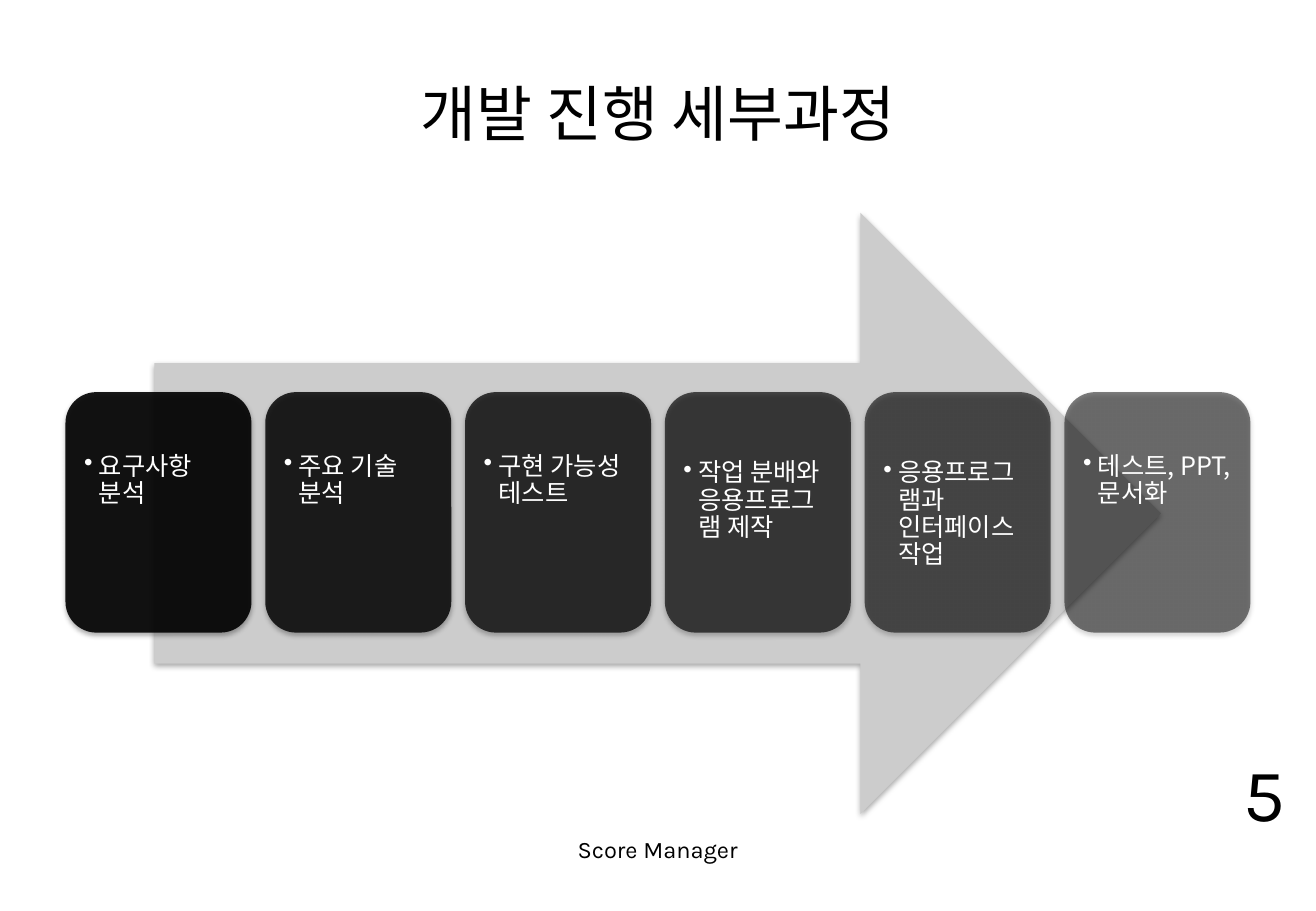
from lxml.etree import SubElement
from pptx import Presentation
from pptx.dml.color import RGBColor
from pptx.enum.shapes import MSO_SHAPE
from pptx.enum.text import MSO_ANCHOR, PP_ALIGN
from pptx.oxml.ns import qn
from pptx.util import Cm, Pt

TITLE = "개발 진행 세부과정"
STEPS = [
    "요구사항 분석",
    "주요 기술 분석",
    "구현 가능성 테스트",
    "작업 분배와 응용프로그램 제작",
    "응용프로그램과 인터페이스 작업",
    "테스트, PPT, 문서화",
]
LABELS = [
    ("Score Manager", (9.4, 17.34, 8.71, 1.32), 14, PP_ALIGN.CENTER),
    ("5", (20.7, 15.5, 6.43, 3.35), 44, PP_ALIGN.RIGHT),
]
KOREAN, LATIN = "Noto Sans CJK KR", "Karla"
BLACK, WHITE, GREY = "000000", "FFFFFF", "CCCCCC"

SLIDE_WIDTH, SLIDE_HEIGHT = 27.52, 19.05
MARGIN = 1.37
CARD_TOP, CARD_WIDTH, CARD_HEIGHT = 8.2, 3.89, 5.03
CARD_PITCH = (SLIDE_WIDTH - 2 * MARGIN - CARD_WIDTH) / (len(STEPS) - 1)
CARD_INSET = 0.19
FIRST_OPACITY, OPACITY_STEP = 90, 8


def color(value):
    return RGBColor.from_string(value)


def write(shape, text, font, size, ink, align):
    shape.text_frame.text = text
    shape.text_frame.word_wrap = True
    para = shape.text_frame.paragraphs[0]
    para.alignment = align
    span = para.runs[0]
    span.font.name = font
    span.font.size = Pt(size)
    span.font.color.rgb = color(ink)
    SubElement(span.font._element, qn("a:ea"), typeface=font)
    return para


def add_shadowed(kind, area, fill, opacity=100):
    shape = slide.shapes.add_shape(kind, *map(Cm, area))
    shape.fill.solid()
    shape.fill.fore_color.rgb = color(fill)
    shape.line.fill.background()
    shape.shadow.inherit = False
    properties = shape._element.spPr
    if opacity < 100:
        tint = properties.find(qn("a:solidFill"))[0]
        SubElement(tint, qn("a:alpha"), val=str(opacity * 1000))
    shadow = SubElement(
        properties.find(qn("a:effectLst")), qn("a:outerShdw"),
        blurRad=str(Pt(3.1)), dist=str(Pt(1.8)), dir="5400000", rotWithShape="0",
    )
    shade = SubElement(shadow, qn("a:srgbClr"), val=BLACK)
    SubElement(shade, qn("a:alpha"), val="35000")


def add_card(index, text):
    left = MARGIN + index * CARD_PITCH
    opacity = FIRST_OPACITY - index * OPACITY_STEP
    area = (left, CARD_TOP, CARD_WIDTH, CARD_HEIGHT)
    add_shadowed(MSO_SHAPE.ROUNDED_RECTANGLE, area, BLACK, opacity)
    box = slide.shapes.add_textbox(
        Cm(left + CARD_INSET), Cm(CARD_TOP + CARD_INSET),
        Cm(CARD_WIDTH - 2 * CARD_INSET), Cm(CARD_HEIGHT - 2 * CARD_INSET),
    )
    frame = box.text_frame
    frame.margin_left = frame.margin_right = frame.margin_bottom = Cm(0.2)
    frame.margin_top = Cm(1.23)
    para = write(box, text, KOREAN, 15, WHITE, PP_ALIGN.LEFT)
    para.line_spacing = 0.9
    properties = para._p.get_or_add_pPr()
    properties.set("marL", str(Cm(0.31)))
    properties.set("indent", str(Cm(-0.31)))
    SubElement(properties, qn("a:buChar"), char="•")


deck = Presentation()
deck.slide_width, deck.slide_height = Cm(SLIDE_WIDTH), Cm(SLIDE_HEIGHT)
slide = deck.slides.add_slide(deck.slide_layouts[5])

title = slide.shapes.title
title.left, title.top = Cm(MARGIN), Cm(0.76)
title.width, title.height = Cm(SLIDE_WIDTH - 2 * MARGIN), Cm(3.18)
title.text_frame.vertical_anchor = MSO_ANCHOR.MIDDLE
write(title, TITLE, KOREAN, 36, BLACK, PP_ALIGN.CENTER)

add_shadowed(MSO_SHAPE.RIGHT_ARROW, (3.23, 4.45, 21.05, 12.57), GREY)
for index, step in enumerate(STEPS):
    add_card(index, step)

for text, area, size, align in LABELS:
    box = slide.shapes.add_textbox(*map(Cm, area))
    write(box, text, LATIN, size, BLACK, align)

deck.save("out.pptx")
